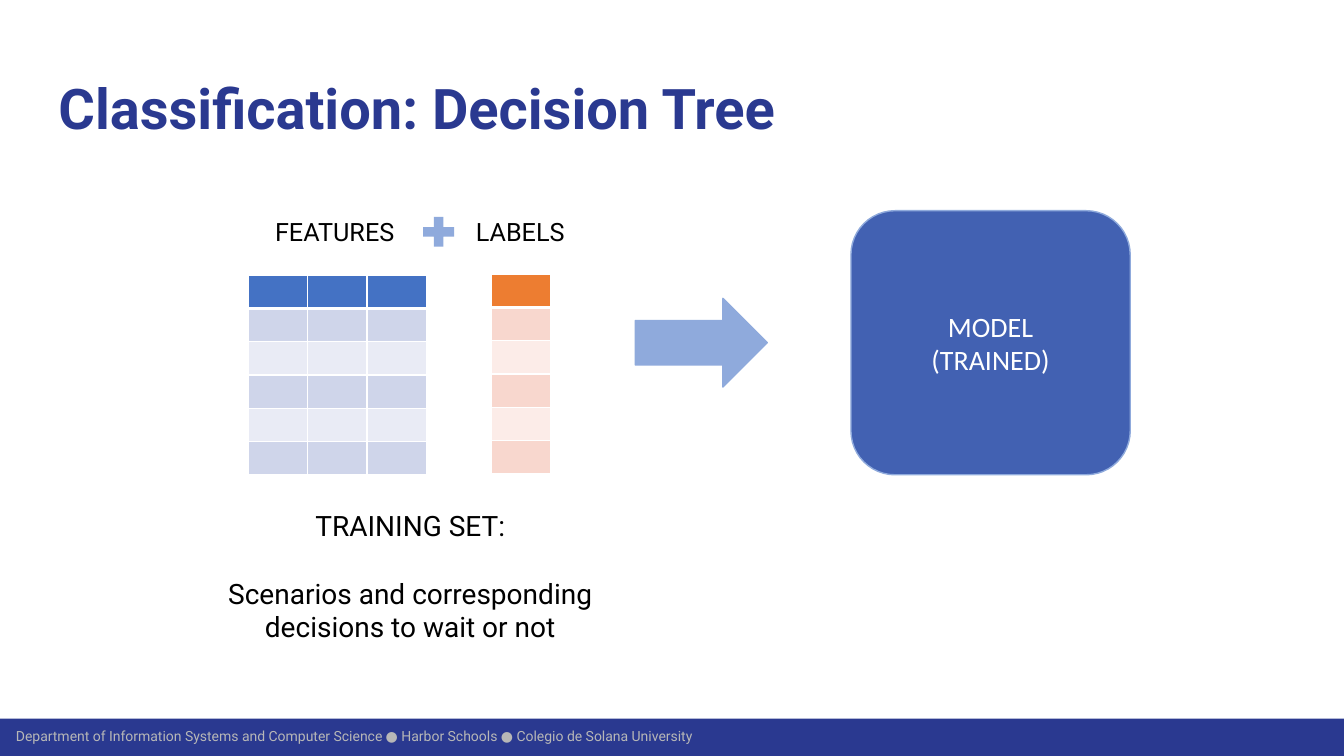
from pptx import Presentation
from pptx.dml.color import RGBColor
from pptx.enum.shapes import MSO_SHAPE
from pptx.enum.text import MSO_ANCHOR, MSO_AUTO_SIZE, PP_ALIGN
from pptx.oxml.ns import qn
from pptx.util import Pt
from lxml.etree import SubElement

PX = 9144
NAVY = RGBColor(0x2A, 0x39, 0x90)
GRAY = RGBColor(0xB7, 0xB7, 0xB7)
BLACK = RGBColor(0, 0, 0)
WHITE = RGBColor(0xFF, 0xFF, 0xFF)
SKY = RGBColor(0x8F, 0xAA, 0xDC)
COBALT = RGBColor(0x42, 0x61, 0xB2)
BLUES = (RGBColor(0x44, 0x72, 0xC4), RGBColor(0xCF, 0xD5, 0xEA), RGBColor(0xE9, 0xEB, 0xF5))
REDS = (RGBColor(0xED, 0x7D, 0x31), RGBColor(0xF8, 0xD7, 0xCE), RGBColor(0xFC, 0xEC, 0xE8))


def write(frame, *lines, size=18, font="Roboto", color=BLACK, bold=False,
          align=PP_ALIGN.CENTER, anchor=MSO_ANCHOR.TOP, inset=None, gap=0):
    frame.word_wrap = True
    frame.auto_size = MSO_AUTO_SIZE.NONE
    frame.vertical_anchor = anchor
    if inset is not None:
        frame.margin_left = frame.margin_right = inset * PX
        frame.margin_top = frame.margin_bottom = inset * PX
    for i, line in enumerate(lines):
        para = frame.add_paragraph() if i else frame.paragraphs[0]
        para.alignment = align
        para.space_before = Pt(gap if i else 0)
        run = para.add_run()
        run.text = line
        run.font.size = Pt(size)
        run.font.name = font
        run.font.bold = bold
        run.font.color.rgb = color


def border(cell, side, width):
    line = SubElement(cell._tc.get_or_add_tcPr(), qn(f"a:ln{side}"), w=str(Pt(width)))
    fill = SubElement(line, qn("a:solidFill"))
    SubElement(fill, qn("a:srgbClr"), val=str(WHITE))


class Deck:
    def __init__(self):
        self.show = Presentation()
        self.show.slide_width, self.show.slide_height = 1333 * PX, 750 * PX
        self.slide = self.show.slides.add_slide(self.show.slide_layouts[5])

    def box(self, *place):
        return [n * PX for n in place]

    def title(self, text, *place):
        head = self.slide.shapes.title
        head.left, head.top, head.width, head.height = self.box(*place)
        write(head.text_frame, text, size=40, color=NAVY, bold=True,
              align=PP_ALIGN.LEFT, inset=13)

    def text(self, *lines, place, **style):
        area = self.slide.shapes.add_textbox(*self.box(*place))
        write(area.text_frame, *lines, **style)

    def shape(self, kind, *place, fill=SKY, line=None):
        item = self.slide.shapes.add_shape(kind, *self.box(*place))
        item.shadow.inherit = False
        item.fill.solid()
        item.fill.fore_color.rgb = fill
        if line is None:
            item.line.fill.background()
        else:
            item.line.color.rgb = line
            item.line.width = Pt(1)
        return item

    def table(self, left, top, cols, tones, rows=6, wide=59, high=33):
        place = self.box(left, top, cols * wide, rows * high)
        grid = self.slide.shapes.add_table(rows, cols, *place).table
        for col in grid.columns:
            col.width = wide * PX
        for r, row in enumerate(grid.rows):
            row.height = high * PX
            for cell in row.cells:
                cell.margin_top = cell.margin_bottom = 0
                widths = {"L": 1, "R": 1, "T": 3 if r == 1 else 1, "B": 1 if r else 3}
                for side, width in widths.items():
                    border(cell, side, width)
                cell.fill.solid()
                cell.fill.fore_color.rgb = tones[2 - r % 2] if r else tones[0]


def main():
    deck = Deck()
    deck.shape(MSO_SHAPE.RECTANGLE, 0, 713, 1333, 37, fill=NAVY)
    deck.text("Department of Information Systems and Computer Science ● Harbor Schools "
              "● Colegio de Solana University", place=(6, 718, 1000, 24), size=10,
              color=GRAY, align=PP_ALIGN.LEFT, anchor=MSO_ANCHOR.MIDDLE, inset=10)
    deck.title("Classification: Decision Tree", 45, 60, 1242, 89)
    deck.table(246, 273, 3, BLUES)
    deck.table(487, 272, 1, REDS)
    deck.shape(MSO_SHAPE.RIGHT_ARROW, 630, 296, 131, 88, line=SKY)
    model = deck.shape(MSO_SHAPE.ROUNDED_RECTANGLE, 844, 209, 277, 262, fill=COBALT, line=SKY)
    write(model.text_frame, "MODEL", "(TRAINED)", size=20, font="Calibri", color=WHITE,
          anchor=MSO_ANCHOR.MIDDLE)
    deck.text("FEATURES", place=(263, 210, 144, 40), align=PP_ALIGN.LEFT)
    deck.text("LABELS", place=(444, 210, 144, 40))
    deck.shape(MSO_SHAPE.MATH_PLUS, 414, 210, 42, 40)
    deck.text("TRAINING SET:", "Scenarios and corresponding decisions to wait or not",
              place=(191, 500, 432, 145), size=20, gap=24)
    deck.show.save("out.pptx")


if __name__ == "__main__":
    main()
